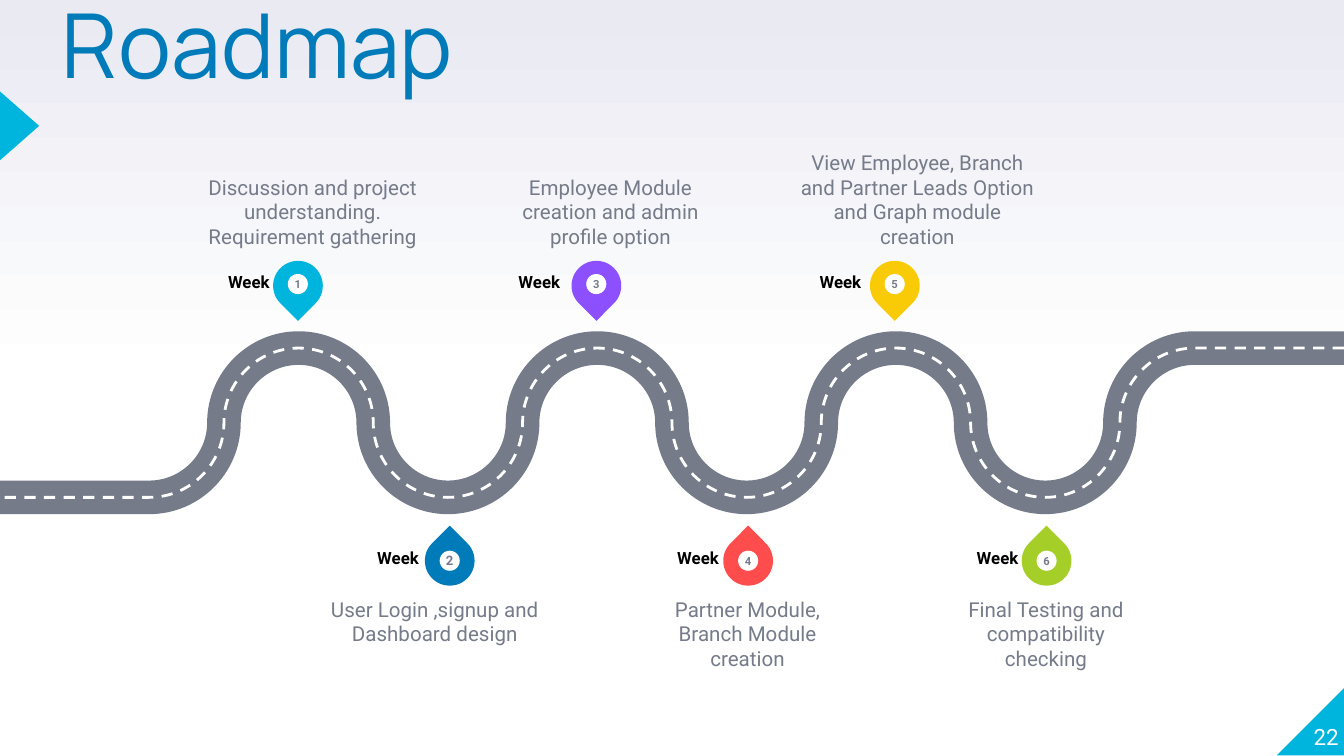
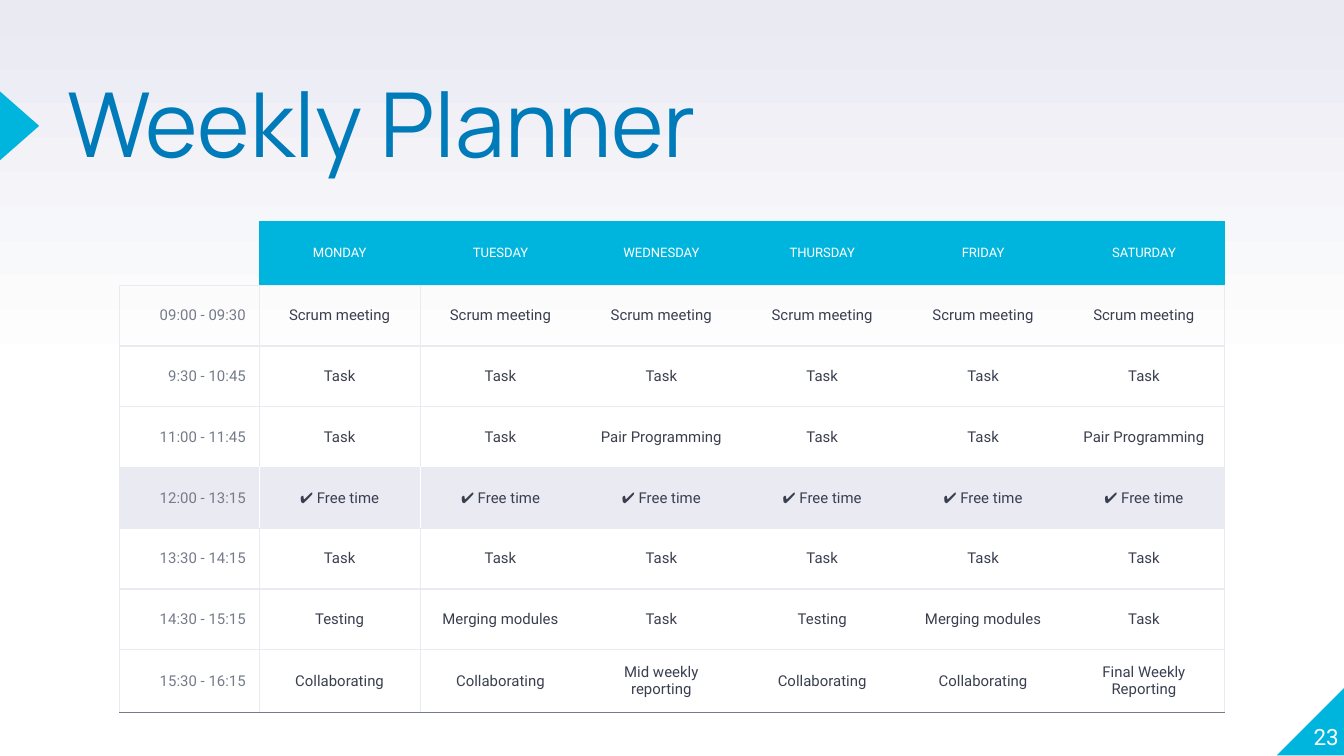
from copy import deepcopy
from dataclasses import dataclass

from lxml import etree
from pptx import Presentation
from pptx.dml.color import RGBColor
from pptx.enum.dml import MSO_LINE_DASH_STYLE as Dash
from pptx.enum.shapes import MSO_SHAPE as Shape
from pptx.enum.text import MSO_ANCHOR as Anchor, MSO_AUTO_SIZE as AutoSize, PP_ALIGN as Align
from pptx.oxml.ns import qn
from pptx.util import Cm, Pt


@dataclass(frozen=True)
class Theme:
    cyan: str = "00B5DD"
    blue: str = "007BB9"
    purple: str = "8C50FF"
    yellow: str = "F9CB07"
    red: str = "FF4D4D"
    green: str = "A6CE28"
    slate: str = "757B89"
    ink: str = "3A3F50"
    pale: str = "E9EAF2"
    white: str = "FFFFFF"
    black: str = "000000"
    heading_font: str = "Manrope"
    body_font: str = "Roboto"
    title: int = 48
    page_number: int = 12
    caption: int = 11
    week: int = 9
    time: int = 8
    day: int = 7
    digit: int = 6


THEME = Theme()
WIDTH, HEIGHT = 25.4, 14.29
NO_STYLE = "{2D5ABB26-0587-4C30-8999-92F81FD0307C}"

# Pin colour, digit size, left of "Week", caption box (left, width, height), caption
MILESTONES = [
    (THEME.cyan, THEME.digit, 4.06, (3.84, 4.14, 2.82),
     "Discussion and project understanding. Requirement gathering"),
    (THEME.blue, THEME.digit + 1, 6.88, (6.15, 4.14, 1.9),
     "User Login ,signup and Dashboard design"),
    (THEME.purple, THEME.digit, 9.55, (9.37, 4.34, 1.9),
     "Employee Module creation and admin profile option"),
    (THEME.red, THEME.digit, 12.55, (12.34, 3.58, 1.47),
     "Partner Module, Branch Module creation"),
    (THEME.yellow, THEME.digit, 15.24, (15.09, 4.5, 1.9),
     "View Employee, Branch and Partner Leads Option and Graph module creation"),
    (THEME.green, THEME.digit, 18.21, (17.98, 3.58, 1.47),
     "Final Testing and compatibility checking"),
]

DAYS = ["MONDAY", "TUESDAY", "WEDNESDAY", "THURSDAY", "FRIDAY", "SATURDAY"]
FREE = "✔ Free time"
PLAN = [
    ("09:00 - 09:30", ["Scrum meeting"] * 6),
    ("9:30 - 10:45", ["Task"] * 6),
    ("11:00 - 11:45", ["Task", "Task", "Pair Programming"] * 2),
    ("12:00 - 13:15", [FREE] * 6),
    ("13:30 - 14:15", ["Task"] * 6),
    ("14:30 - 15:15", ["Testing", "Merging modules", "Task"] * 2),
    ("15:30 - 16:15", ["Collaborating", "Collaborating", "Mid weekly\nreporting",
                       "Collaborating", "Collaborating", "Final Weekly Reporting"]),
]


def rgb(value):
    return RGBColor.from_string(value)


def apply(target, values):
    for name, value in values.items():
        setattr(target, name, value)


def write(frame, text, size, color, font=THEME.body_font, bold=False, inset=0.0,
          anchor=Anchor.TOP, **para_format):
    """Fill a text frame, one paragraph for each line."""
    margins = dict.fromkeys(
        ("margin_left", "margin_top", "margin_right", "margin_bottom"), Cm(inset))
    apply(frame, {"word_wrap": True, "vertical_anchor": anchor, **margins})
    for index, line in enumerate(text.split("\n")):
        para = frame.add_paragraph() if index else frame.paragraphs[0]
        apply(para, para_format)
        span = para.add_run()
        span.text = line
        apply(span.font, {"name": font, "size": Pt(size), "bold": bold})
        span.font.color.rgb = rgb(color)


def add_text(page, place, text, size, color, **text_format):
    box = page.shapes.add_textbox(*map(Cm, place))
    write(box.text_frame, text, size, color, **text_format)
    return box


def add_solid(shapes, kind, place, color, rotation=0):
    solid = shapes.add_shape(kind, *map(Cm, place))
    solid.rotation = rotation
    solid.shadow.inherit = False
    solid.fill.solid()
    solid.fill.fore_color.rgb = rgb(color)
    solid.line.fill.background()
    return solid


def square(center_x, center_y, side):
    return center_x - side / 2, center_y - side / 2, side, side


def paint_background(page):
    fill = page.background.fill
    fill.gradient()
    fill.gradient_angle = 90
    first = page.background.fill._fill._gradFill.find(qn("a:gsLst"))[0]
    first.addnext(deepcopy(first))
    stops = [(0, THEME.white), (0.5, THEME.white), (1, THEME.pale)]
    for stop, (position, color) in zip(fill.gradient_stops, stops):
        stop.position = position
        stop.color.rgb = rgb(color)


def add_page(deck, title, title_place, number):
    """Add a page with the shared background, marks, title and number."""
    page = deck.slides.add_slide(deck.slide_layouts[5])
    paint_background(page)
    # Corner and edge marks
    corner = add_solid(page.shapes, Shape.RIGHT_TRIANGLE, (24.13, 12.98, 1.3, 1.3), THEME.cyan)
    corner.element.spPr.find(qn("a:xfrm")).set("flipH", "1")
    add_solid(page.shapes, Shape.ISOSCELES_TRIANGLE, (-0.28, 2.01, 1.3, 0.74), THEME.cyan, 90)
    # Title
    heading = page.shapes.title
    apply(heading, dict(zip(("left", "top", "width", "height"), map(Cm, title_place))))
    heading.text_frame.auto_size = AutoSize.NONE
    write(heading.text_frame, title, THEME.title, THEME.blue, font=THEME.heading_font,
          alignment=Align.LEFT, line_spacing=0.8)
    # Page number
    add_text(page, (24.03, 12.88, 1.27, 1.3), str(number), THEME.page_number, THEME.white,
             anchor=Anchor.BOTTOM, alignment=Align.RIGHT)
    return page


def bend(corner_start, segment, starts_flat):
    """Turn a straight segment into a quarter circle."""
    end = segment[0]
    x0, y0 = (int(corner_start.get(axis)) for axis in "xy")
    x1, y1 = (int(end.get(axis)) for axis in "xy")
    near_x, near_y = x0 + 0.55 * (x1 - x0), y0 + 0.55 * (y1 - y0)
    far_x, far_y = x1 - 0.55 * (x1 - x0), y1 - 0.55 * (y1 - y0)
    controls = [(near_x, y0), (x1, far_y)] if starts_flat else [(x0, near_y), (far_x, y1)]
    for index, (x, y) in enumerate(controls):
        segment.insert(index, etree.Element(qn("a:pt"), x=str(round(x)), y=str(round(y))))
    segment.tag = qn("a:cubicBezTo")
    return end


def add_road(page, color, width, dash=None):
    """Draw the winding line on a grid of 18 columns, from right to left."""
    radius, top = WIDTH / 18, 6.58
    levels = [0, 1, 2, 1]
    turns = [(column, levels[column % 4]) for column in range(16, 1, -1)]
    points = [(Cm(column * radius), Cm(top + level * radius))
              for column, level in [(18, 0), *turns, (0, 2)]]
    builder = page.shapes.build_freeform(*points[0])
    builder.add_line_segments(points[1:], close=False)
    road = builder.convert_to_shape()
    road.shadow.inherit = False
    road.fill.background()
    road.line.color.rgb = rgb(color)
    apply(road.line, {"width": Pt(width), "dash_style": dash})
    # Only the first and last segments stay straight
    segments = road.element.xpath(".//a:lnTo")
    start = segments[0][0]
    for index, segment in enumerate(segments[1:-1]):
        start = bend(start, segment, index % 2 == 0)


def add_pin(page, index, color, digit_size):
    below = index % 2
    x = 5.63 + 2.82 * index + 0.05 * below
    y, dot_y, rotation = (10.6, 10.6, 315) if below else (5.4, 5.37, 135)
    pin = page.shapes.add_group_shape()
    add_solid(pin.shapes, Shape.TEAR, square(x, y, 0.94), color, rotation)
    dot = add_solid(pin.shapes, Shape.OVAL, square(x, dot_y, 0.38), THEME.white)
    write(dot.text_frame, str(index + 1), digit_size, THEME.slate, bold=True,
          anchor=Anchor.MIDDLE, alignment=Align.CENTER)


def add_milestone(page, index, milestone):
    color, digit_size, week_left, (left, width, height), caption = milestone
    below = index % 2
    add_pin(page, index, color, digit_size)
    add_text(page, (left, 11.28 if below else 4.7 - height, width, height), caption,
             THEME.caption, THEME.slate, anchor=Anchor.TOP if below else Anchor.BOTTOM,
             alignment=Align.CENTER)
    week = add_text(page, (week_left, 10.16 if below else 4.95, 1.6, 0.89), "Week",
                    THEME.week, THEME.black, bold=True, inset=0.25)
    week.text_frame.auto_size = AutoSize.SHAPE_TO_FIT_TEXT


def draw_borders(cell, sides):
    properties = cell._tc.get_or_add_tcPr()
    for side in "LRTB":
        if side in sides:
            line = etree.SubElement(properties, qn(f"a:ln{side}"), w=str(Pt(0.75)))
            fill = etree.SubElement(line, qn("a:solidFill"))
            etree.SubElement(fill, qn("a:srgbClr"), val=sides[side])


def cell_borders(row, column, free):
    """Colour of each drawn side of a planner cell."""
    header, last_column = row == 0, column == len(DAYS)
    outer = THEME.cyan if header else THEME.pale
    divider = THEME.white if free else outer
    sides = {"B": THEME.slate if row == len(PLAN) else THEME.pale}
    if not header:
        sides["T"] = THEME.pale
    if column == 0:
        sides["R"] = divider
        if not header:
            sides["L"] = outer
    elif column == 1:
        sides["L"] = divider
    if last_column:
        sides["R"] = outer
    return sides


def format_cell(cell, row, column, text, free):
    draw_borders(cell, cell_borders(row, column, free))
    fill = THEME.pale if free else THEME.cyan if row == 0 and column else None
    if fill:
        cell.fill.solid()
        cell.fill.fore_color.rgb = rgb(fill)
    else:
        cell.fill.background()
    if not text:
        return
    if row == 0:
        size, color = THEME.day, THEME.white
    else:
        size, color = THEME.time, THEME.ink if column else THEME.slate
    write(cell.text_frame, text, size, color, alignment=Align.CENTER if column else Align.RIGHT)
    margins = ("margin_left", "margin_top", "margin_right", "margin_bottom")
    apply(cell, {"vertical_anchor": Anchor.MIDDLE, **dict.fromkeys(margins, Cm(0.25))})


def add_planner(page):
    rows = [["", *DAYS], *([time, *tasks] for time, tasks in PLAN)]
    heights = [1.21] + [1.15] * len(PLAN)
    widths = [2.64] + [3.04] * len(DAYS)
    place = (2.26, 4.18, sum(widths), sum(heights))
    table = page.shapes.add_table(len(rows), len(widths), *map(Cm, place)).table
    apply(table, {"first_row": False, "horz_banding": False})
    table._tbl.tblPr.find(qn("a:tableStyleId")).text = NO_STYLE
    for column, width in zip(table.columns, widths):
        column.width = Cm(width)
    for row, (texts, height) in enumerate(zip(rows, heights)):
        table.rows[row].height = Cm(height)
        for column, text in enumerate(texts):
            format_cell(table.cell(row, column), row, column, text, FREE in texts)


def main():
    deck = Presentation()
    apply(deck, {"slide_width": Cm(WIDTH), "slide_height": Cm(HEIGHT)})

    # Roadmap
    page = add_page(deck, "Roadmap", (1.17, 0.18, 15.67, 1.9), 22)
    add_road(page, THEME.slate, 18)
    add_road(page, THEME.white, 1.5, Dash.DASH)
    for index, milestone in enumerate(MILESTONES):
        add_milestone(page, index, milestone)

    # Weekly planner
    page = add_page(deck, "Weekly Planner", (1.27, 1.68, 15.67, 3), 23)
    add_planner(page)

    deck.save("out.pptx")


if __name__ == "__main__":
    main()
